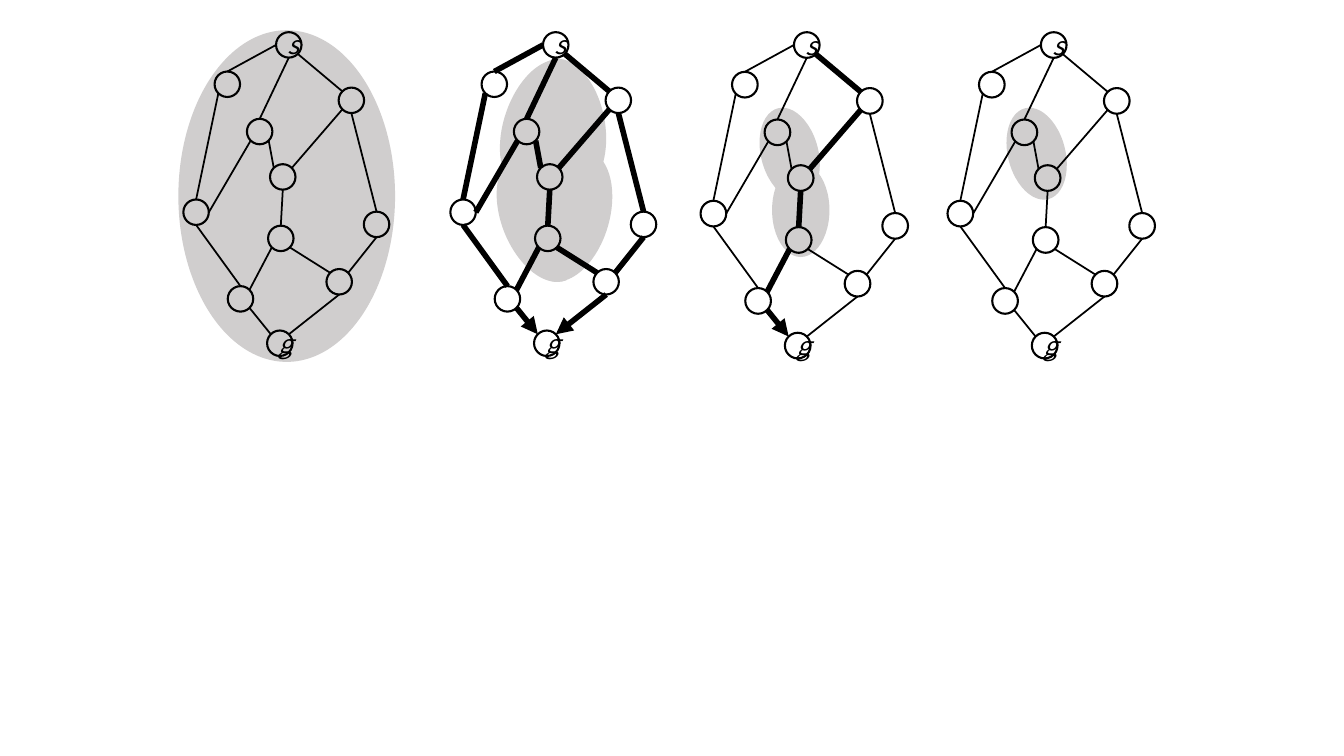
import math
from dataclasses import dataclass

from lxml import etree
from pptx import Presentation
from pptx.dml.color import RGBColor
from pptx.enum.shapes import MSO_CONNECTOR, MSO_SHAPE
from pptx.enum.text import MSO_ANCHOR, PP_ALIGN
from pptx.oxml.ns import qn
from pptx.util import Pt

OVAL = MSO_SHAPE.OVAL
MOON = MSO_SHAPE.MOON
STRAIGHT = MSO_CONNECTOR.STRAIGHT
CENTER = PP_ALIGN.CENTER
MIDDLE = MSO_ANCHOR.MIDDLE


@dataclass(frozen=True)
class Theme:
    ink: RGBColor = RGBColor(0, 0, 0)
    halo: RGBColor = RGBColor(0xD0, 0xCE, 0xCE)
    font: str = "Noto Sans CJK JP"
    label_size: float = 18
    node_line: float = 1.5
    thin_edge: float = 1.25
    thick_edge: float = 4


@dataclass(frozen=True)
class Box:
    left: float
    top: float
    width: float


THEME = Theme()
DESIGN_WIDTH = 147.1
DIAMETER = 18.2
NODES = {
    "start": (66.2, 0),
    "upper left": (22.3, 28.1),
    "upper right": (110.9, 39.6),
    "inner top": (45.4, 61.9),
    "inner middle": (61.9, 94.3),
    "inner bottom": (60.5, 138.2),
    "left": (0, 119.5),
    "right": (128.9, 128.2),
    "lower left": (31.7, 181.4),
    "lower right": (102.2, 169.2),
    "goal": (59.8, 213.1),
}
LABELS = {"start": "s", "goal": "g"}
SITE_ANGLES = {"E": 0, "SE": 45, "S": 90, "SW": 135, "W": 180, "NW": 225, "N": 270, "NE": 315}
EDGES = [
    ("lower right", "S", "goal", "NE"),
    ("start", "SE", "upper right", "NW"),
    ("left", "S", "lower left", "N"),
    ("upper left", "SW", "left", "N"),
    ("lower left", "SE", "goal", "NW"),
    ("start", "W", "upper left", "N"),
    ("start", "S", "inner top", "N"),
    ("inner middle", "S", "inner bottom", "N"),
    ("left", "E", "inner top", "SW"),
    ("inner middle", "NE", "upper right", "SW"),
    ("lower right", "NW", "inner bottom", "SE"),
    ("inner bottom", "SW", "lower left", "NE"),
    ("right", "N", "upper right", "S"),
    ("lower right", "NE", "right", "S"),
    ("inner top", "SE", "inner middle", "NW"),
]
ALL_EDGES = {(begin, end) for begin, _, end, _ in EDGES}
SINGLE_ROUTE = {
    ("start", "upper right"),
    ("inner middle", "upper right"),
    ("inner middle", "inner bottom"),
    ("inner bottom", "lower left"),
    ("lower left", "goal"),
}
INNER_HALO = (OVAL, 43.2, 53.3, 41, 67, 345.5)
GRAPHS = [
    (Box(131, 23, 147.1), [(OVAL, -3.6, -1.4, 154.8, 236.9, 0)], set()),
    (
        Box(321.7, 23, 147.1),
        [
            (MOON, 37.4, 88.6, 28.8, 97.2, 338.6),
            (MOON, 84.2, 86.4, 28.8, 97.2, 196.5),
            (MOON, 81.4, 15.8, 28.8, 97.2, 169.7),
            (MOON, 38.9, 13.7, 27.4, 97.2, 18.5),
            (OVAL, 43.9, 19.4, 63.4, 158.4, 0),
        ],
        ALL_EDGES,
    ),
    (Box(500.4, 23, 148.2), [(OVAL, 51.1, 93.6, 41, 67, 0), INNER_HALO], SINGLE_ROUTE),
    (Box(676.8, 23, 148.2), [INNER_HALO], set()),
]


def add_halo(shapes, box, halo):
    kind, left, top, width, height, rotation = halo
    shape = shapes.add_shape(
        kind, Pt(box.left + left), Pt(box.top + top), Pt(width), Pt(height)
    )
    shape.rotation = rotation
    shape.shadow.inherit = False
    shape.fill.solid()
    shape.fill.fore_color.rgb = THEME.halo
    shape.line.fill.background()


def add_node(shapes, left, top, diameter, label):
    shape = shapes.add_shape(OVAL, Pt(left), Pt(top), Pt(diameter), Pt(diameter))
    shape.shadow.inherit = False
    shape.fill.background()
    shape.line.color.rgb = THEME.ink
    shape.line.width = Pt(THEME.node_line)
    if label:
        shape.text_frame.vertical_anchor = MIDDLE
        paragraph = shape.text_frame.paragraphs[0]
        paragraph.alignment = CENTER
        run = paragraph.add_run()
        run.text = label
        run.font.name = THEME.font
        run.font.size = Pt(THEME.label_size)
        run.font.italic = True
        run.font.color.rgb = THEME.ink


def add_edge(shapes, begin, end, thick, arrow):
    connector = shapes.add_connector(STRAIGHT, *map(Pt, begin + end))
    connector.line.color.rgb = THEME.ink
    connector.line.width = Pt(THEME.thick_edge if thick else THEME.thin_edge)
    properties = connector._element.spPr
    if arrow:
        etree.SubElement(properties.find(qn("a:ln")), qn("a:tailEnd"), type="triangle")
    etree.SubElement(properties, qn("a:effectLst"))


def add_graph(slide, box, halos, thick_edges):
    shapes = slide.shapes.add_group_shape().shapes
    scale = box.width / DESIGN_WIDTH
    radius = DIAMETER * scale / 2

    def site(name, side):
        x, y = NODES[name]
        angle = math.radians(SITE_ANGLES[side])
        return (
            box.left + x * scale + radius * (1 + math.cos(angle)),
            box.top + y * scale + radius * (1 + math.sin(angle)),
        )

    for halo in halos:
        add_halo(shapes, box, halo)
    for name, (x, y) in NODES.items():
        add_node(
            shapes, box.left + x * scale, box.top + y * scale, 2 * radius, LABELS.get(name)
        )
    for begin, begin_side, end, end_side in EDGES:
        thick = (begin, end) in thick_edges
        add_edge(
            shapes, site(begin, begin_side), site(end, end_side), thick, thick and end == "goal"
        )


def main():
    presentation = Presentation()
    presentation.slide_width = Pt(960)
    presentation.slide_height = Pt(540)
    slide = presentation.slides.add_slide(presentation.slide_layouts[6])
    for box, halos, thick_edges in GRAPHS:
        add_graph(slide, box, halos, thick_edges)
    presentation.save("out.pptx")


if __name__ == "__main__":
    main()
